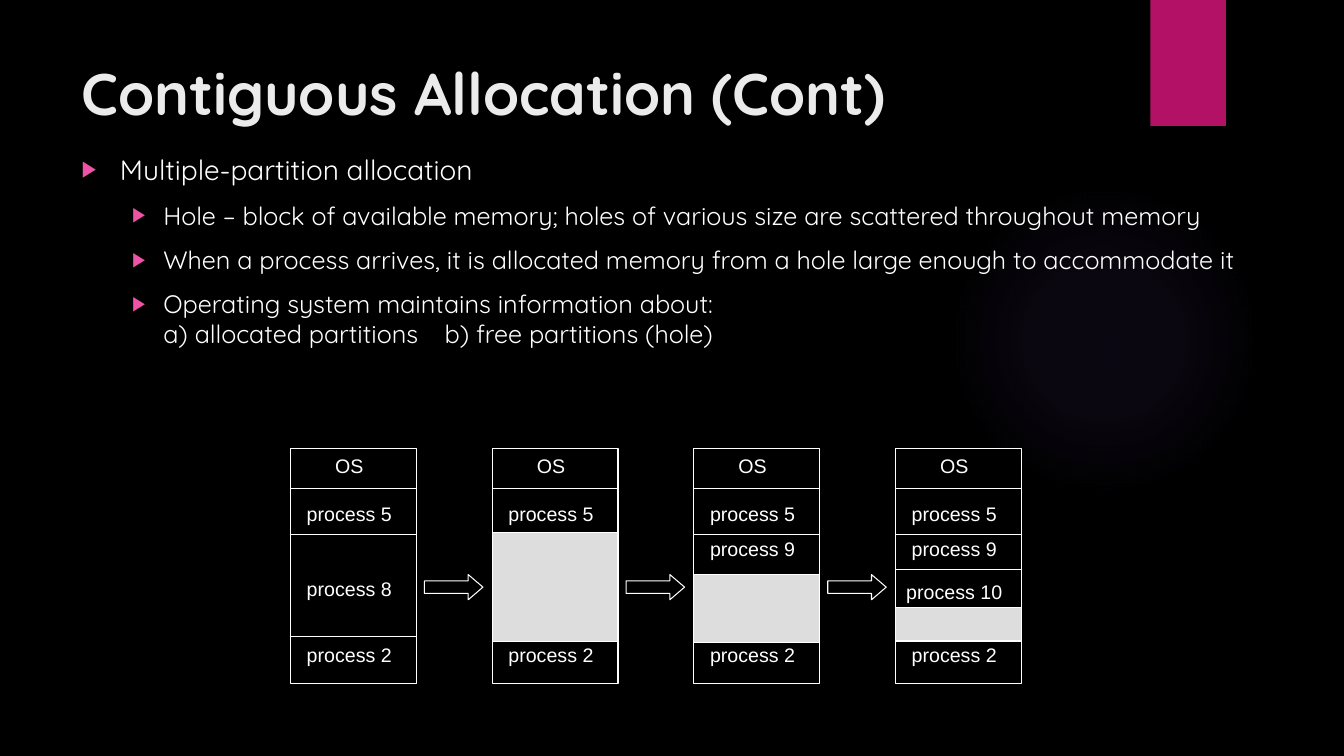
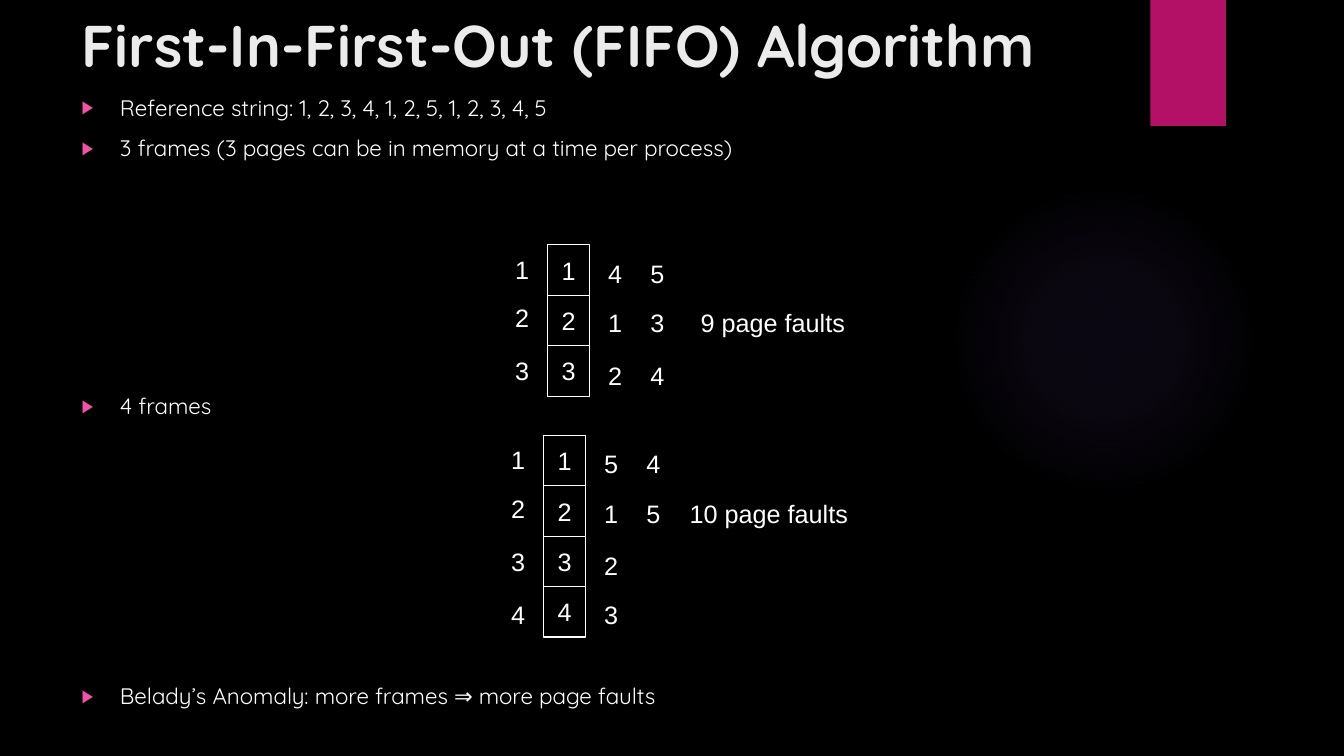
from copy import deepcopy

from lxml.etree import SubElement, fromstring
from pptx import Presentation
from pptx.dml.color import RGBColor
from pptx.enum.shapes import MSO_CONNECTOR, MSO_SHAPE
from pptx.enum.text import MSO_ANCHOR, MSO_AUTO_SIZE, PP_ALIGN
from pptx.oxml.ns import qn
from pptx.util import Inches, Pt

BLACK, WHITE, HOLE_GREY = "000000", "FFFFFF", "DDDDDD"
TITLE_GREY, PINK, BULLET_PINK, GLOW = "EBEBEB", "B31166", "EF53A5", "9B6BF2"
TITLE_FONT = {"name": "Quicksand", "size": 42, "bold": True, "color": TITLE_GREY}
BODY_FONT = {"name": "Quicksand", "color": WHITE}
LABEL_FONT = {"name": "Arial", "color": WHITE}
LEVEL_INDENTS = [(0.38, -0.38), (0.81, -0.31)]
GLOW_STOPS = [(0, 7), (36, 6), (69, 0)]


def color(value):
    """Turn a hex string into a colour."""
    return RGBColor.from_string(value)


def format_span(span, formats):
    """Apply a dict of font values to one run."""
    for name, value in formats.items():
        if name == "color":
            span.font.color.rgb = color(value)
        else:
            setattr(span.font, name, Pt(value) if name == "size" else value)


def place(shape, box):
    """Move a shape to a box of left, top, width and height in inches."""
    for name, value in zip(("left", "top", "width", "height"), box):
        setattr(shape, name, Inches(value))


def add_block(page, kind, box, fill, line=WHITE):
    """Add a flat preset shape with an optional thin outline."""
    shape = page.shapes.add_shape(kind, *map(Inches, box))
    shape.shadow.inherit = False
    shape.fill.solid()
    shape.fill.fore_color.rgb = color(fill)
    if line:
        shape.line.color.rgb = color(line)
        shape.line.width = Pt(0.75)
    else:
        shape.line.fill.background()
    return shape


def write_label(shape, text, size):
    """Write one centred label into a shape."""
    frame = shape.text_frame
    frame.word_wrap = False
    frame.vertical_anchor = MSO_ANCHOR.MIDDLE
    para = frame.paragraphs[0]
    para.alignment = PP_ALIGN.CENTER
    span = para.add_run()
    span.text = text
    format_span(span, LABEL_FONT | {"size": size})


def add_label(page, box, text, size):
    """Add a text box holding one centred label."""
    write_label(page.shapes.add_textbox(*map(Inches, box)), text, size)


def add_divider(page, left, top, width):
    """Add a thin horizontal line."""
    line = page.shapes.add_connector(
        MSO_CONNECTOR.STRAIGHT, *map(Inches, (left, top, left + width, top)))
    line.line.color.rgb = color(WHITE)
    line.line.width = Pt(0.75)
    SubElement(line.element.spPr, qn("a:effectLst"))


def fill_glow(shape):
    """Replace the fill by a fading radial gradient."""
    stops = "".join(
        f'<a:gs pos="{position * 1000}"><a:srgbClr val="{GLOW}">'
        f'<a:alpha val="{alpha * 1000}"/></a:srgbClr></a:gs>'
        for position, alpha in GLOW_STOPS)
    gradient = fromstring(
        '<a:gradFill xmlns:a="http://schemas.openxmlformats.org/drawingml/2006/main">'
        f'<a:gsLst>{stops}</a:gsLst><a:path path="circle">'
        '<a:fillToRect l="50000" t="50000" r="50000" b="50000"/></a:path></a:gradFill>')
    solid = shape.element.spPr.find(qn("a:solidFill"))
    shape.element.spPr.replace(solid, gradient)


def decorate_master(deck, page):
    """Give the master its black ground, glow and pink ribbon."""
    master = deck.slide_master
    master.background.fill.solid()
    master.background.fill.fore_color.rgb = color(BLACK)
    glow = add_block(page, MSO_SHAPE.OVAL, (9.41, 1.83, 3.08, 3.08), GLOW, None)
    fill_glow(glow)
    ribbon = add_block(page, MSO_SHAPE.RECTANGLE, (11.41, 0, 0.75, 1.25), PINK, None)
    for number, shape in enumerate((glow, ribbon)):
        shape.element.xpath(".//p:cNvPr")[0].set("id", str(100 + number))
        master.shapes.element.insert(2 + number, shape.element)


def set_title(page, box, text):
    """Place and format the title placeholder."""
    title = page.shapes.title
    place(title, box)
    frame = title.text_frame
    frame.auto_size = MSO_AUTO_SIZE.NONE
    frame.vertical_anchor = MSO_ANCHOR.MIDDLE
    frame.text = text
    para = frame.paragraphs[0]
    para.alignment = PP_ALIGN.LEFT
    format_span(para.runs[0], TITLE_FONT)


def set_bullet(para, level, tab=None):
    """Give a paragraph its indent, pink triangle and optional tab stop."""
    margin, indent = LEVEL_INDENTS[level]
    para.level = level
    properties = para._p.get_or_add_pPr()
    properties.set("marL", str(Inches(margin)))
    properties.set("indent", str(Inches(indent)))
    bullet_color = SubElement(properties, qn("a:buClr"))
    SubElement(bullet_color, qn("a:srgbClr"), val=BULLET_PINK)
    SubElement(properties, qn("a:buSzPct"), val="80000")
    SubElement(properties, qn("a:buFont"), typeface="Arial")
    SubElement(properties, qn("a:buChar"), char="▶")
    if tab:
        stops = SubElement(properties, qn("a:tabLst"))
        SubElement(stops, qn("a:tab"), pos=str(Inches(tab)), algn="l")


def set_body(page, box, items):
    """Fill the body placeholder from level, size, space before, text and tab."""
    body = page.placeholders[1]
    place(body, box)
    frame = body.text_frame
    frame.auto_size = MSO_AUTO_SIZE.NONE
    for number, (level, size, space, text, tab) in enumerate(items):
        para = frame.add_paragraph() if number else frame.paragraphs[0]
        set_bullet(para, level, tab)
        para.space_before = Pt(space)
        para.text = text
        for span in para.runs:
            format_span(span, BODY_FONT | {"size": size})
        for line_break in para._p.findall(qn("a:br")):
            line_break.append(deepcopy(para.runs[0]._r.rPr))


def draw_memory(page, left, top, labels, dividers, hole):
    """Draw one memory column with its processes and its hole."""
    width = 1.25
    add_block(page, MSO_SHAPE.RECTANGLE, (left, top, width, 2.33), BLACK)
    for offset in (0.4, 0.85, 1.86, *dividers):
        add_divider(page, left, top + offset, width)
    if hole:
        offset, height = hole
        add_block(page, MSO_SHAPE.RECTANGLE, (left, top + offset, width, height), HOLE_GREY)
    for text, offset in [("OS", 0), ("process 5", 0.48), ("process 2", 1.88), *labels]:
        add_label(page, (left, top + offset, 1.17, 0.33), text, 14)


def draw_memory_sequence(page, left, top):
    """Draw the memory states in a row, joined by block arrows."""
    states = [
        ([("process 8", 1.23)], [], None),
        ([], [], (0.83, 1.08)),
        ([("process 9", 0.83)], [], (1.25, 0.67)),
        ([("process 9", 0.83), ("process 10", 1.25)], [1.2], (1.58, 0.33)),
    ]
    for number, state in enumerate(states):
        column = left + 2 * number
        draw_memory(page, column, top, *state)
        if number:
            arrow = add_block(
                page, MSO_SHAPE.RIGHT_ARROW, (column - 0.67, top + 1.25, 0.58, 0.25), BLACK)
            arrow.adjustments[1] = 0.583


def draw_frames(page, left, top, count, columns, faults):
    """Draw numbered frames, the pages loaded later and the fault count."""
    number_tops = (0.04, 0.52, 1.05, 1.58)
    page_tops = (0.08, 0.57, 1.09, 1.58)
    for row in range(count):
        text = str(row + 1)
        cell = add_block(
            page, MSO_SHAPE.RECTANGLE, (left + 0.42, top + 0.5 * row, 0.42, 0.5), BLACK)
        write_label(cell, text, 18)
        add_label(page, (left, top + number_tops[row], 0.34, 0.4), text, 18)
    for number, column in enumerate(columns):
        for text, offset in zip(column, page_tops):
            add_label(page, (left + 0.92 + 0.42 * number, top + offset, 0.34, 0.4), text, 18)
    add_label(page, (left + 1.77, top + 0.57, 1.77, 0.4), faults, 18)


def build_allocation(page):
    """Build the slide on contiguous allocation."""
    set_title(page, (0.71, 0.5, 10.29, 0.83), "Contiguous Allocation (Cont)")
    set_body(page, (0.71, 1.46, 12.37, 2.85), [
        (0, 20, 0, "Multiple-partition allocation", None),
        (1, 18, 10, "Hole – block of available memory; holes of various size "
                    "are scattered throughout memory", None),
        (1, 18, 10, "When a process arrives, it is allocated memory from a hole "
                    "large enough to accommodate it", None),
        (1, 18, 10, "Operating system maintains information about:\v"
                    "a) allocated partitions\tb) free partitions (hole)", 3.6),
    ])
    draw_memory_sequence(page, 2.88, 4.45)


def build_fifo(page):
    """Build the slide on first-in-first-out replacement."""
    set_title(page, (0.71, 0, 10.29, 0.88), "First-In-First-Out (FIFO) Algorithm")
    set_body(page, (0.71, 0.88, 9.56, 6.6), [
        (0, 16, 0, "Reference string: 1, 2, 3, 4, 1, 2, 5, 1, 2, 3, 4, 5", None),
        (0, 16, 10, "3 frames (3 pages can be in memory at a time per process)", None),
        (0, 16, 165, "4 frames", None),
        (0, 16, 188, "Belady’s Anomaly: more frames ⇒ more page faults", None),
    ])
    draw_frames(page, 5.01, 2.43, 3, ["412", "534"], "9 page faults")
    draw_frames(page, 4.97, 4.32, 4, ["5123", "45"], "10 page faults")


def main():
    """Build and save the deck."""
    deck = Presentation()
    deck.slide_width, deck.slide_height = Inches(13.33), Inches(7.5)
    pages = [deck.slides.add_slide(deck.slide_layouts[1]) for _ in range(2)]
    decorate_master(deck, pages[0])
    build_allocation(pages[0])
    build_fifo(pages[1])
    deck.save("out.pptx")


if __name__ == "__main__":
    main()
